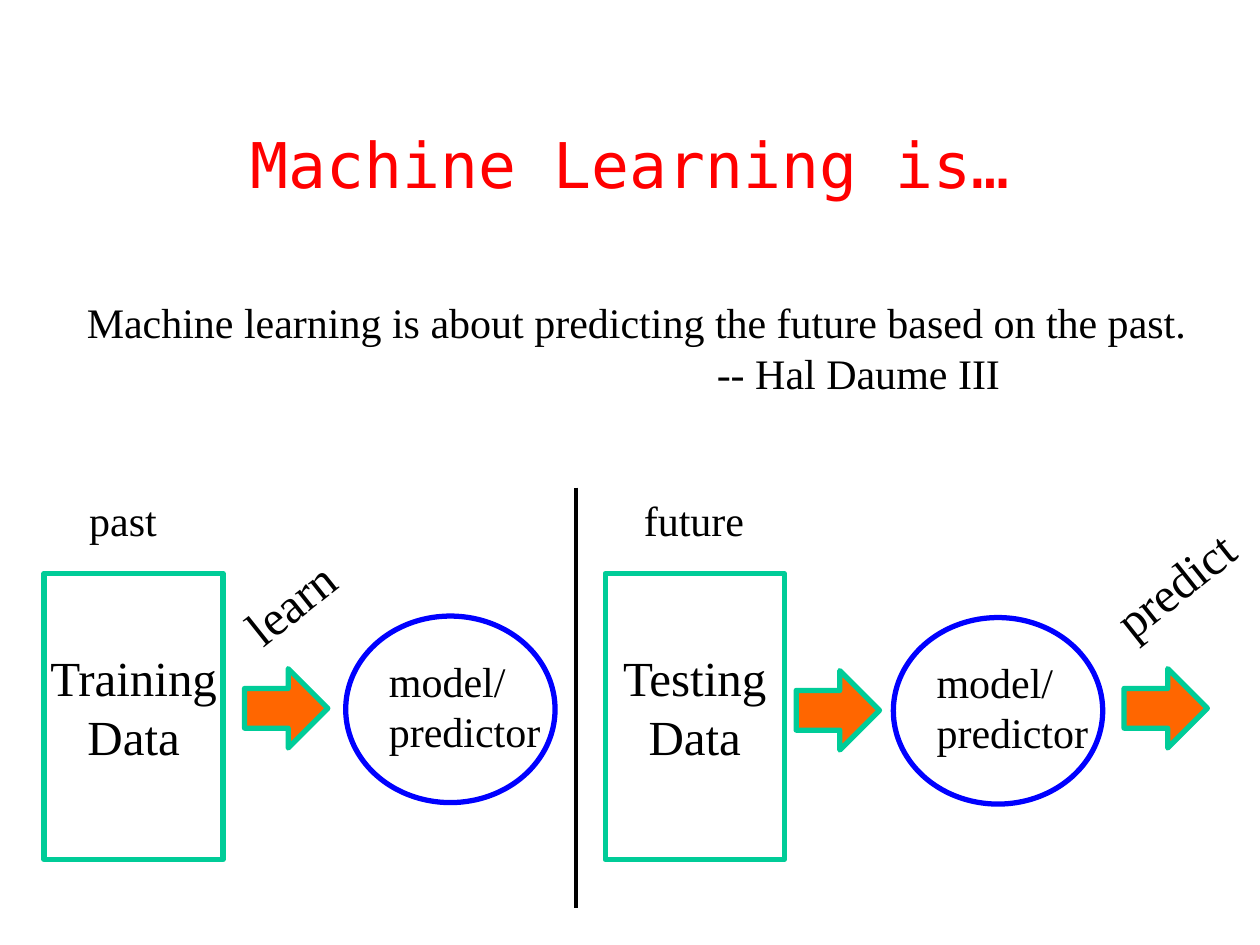
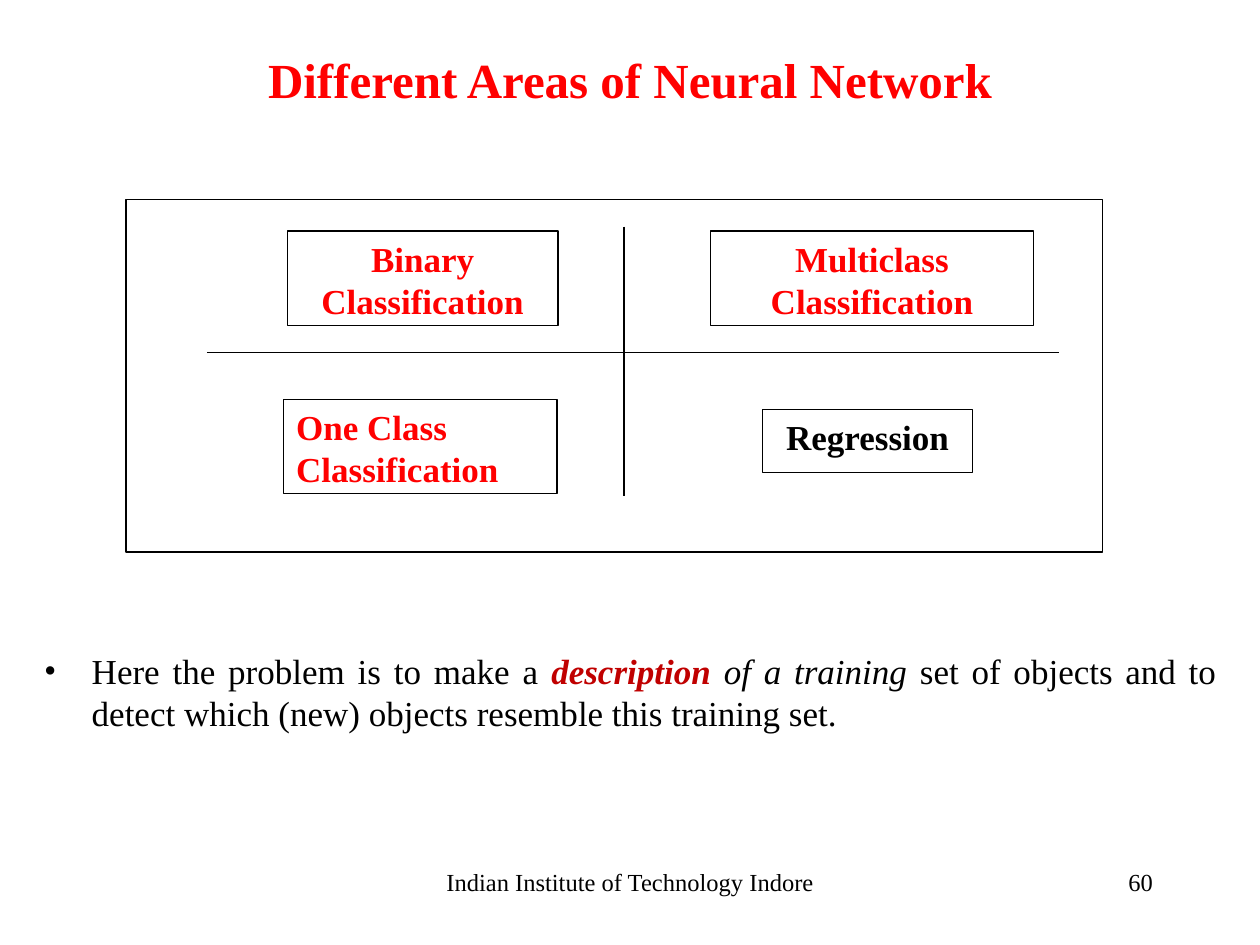
from lxml import etree
from pptx import Presentation
from pptx import util as u
from pptx.dml.color import RGBColor
from pptx.enum import shapes, text
from pptx.oxml.ns import qn

COLORS = {
    "black": "000000",
    "white": "FFFFFF",
    "red": "FF0000",
    "dark_red": "C00000",
    "green": "00CC98",
    "blue": "0000FF",
    "orange": "FF6600",
}
SERIF = "Times New Roman"
MONO = "DejaVu Sans Mono"
LEFT, CENTER = text.PP_ALIGN.LEFT, text.PP_ALIGN.CENTER
RIGHT, JUSTIFY = text.PP_ALIGN.RIGHT, text.PP_ALIGN.JUSTIFY
SHAPE = shapes.MSO_SHAPE


def rgb(name):
    return RGBColor.from_string(COLORS[name])


def cm(*lengths):
    return [u.Cm(length) for length in lengths]


def add_run(para, words, size, color="black", font=SERIF, bold=False, italic=False):
    span = para.add_run()
    span.text = words
    span.font.name = font
    span.font.size = u.Pt(size)
    span.font.bold = bold
    span.font.italic = italic
    span.font.color.rgb = rgb(color)


def add_title(page, words, place, size, font=SERIF, bold=False):
    title = page.shapes.title
    title.left, title.top, title.width, title.height = cm(*place)
    title.text_frame.vertical_anchor = text.MSO_ANCHOR.MIDDLE
    para = title.text_frame.paragraphs[0]
    para.alignment = CENTER
    add_run(para, words, size, "red", font, bold)


def add_text(page, lines, place, size, align=LEFT, wrap=False, rotation=0):
    box = page.shapes.add_textbox(*cm(*place))
    box.rotation = rotation
    frame = box.text_frame
    frame.word_wrap = wrap
    if not wrap:
        frame.auto_size = text.MSO_AUTO_SIZE.SHAPE_TO_FIT_TEXT
    for index, line in enumerate(lines):
        para = frame.add_paragraph() if index else frame.paragraphs[0]
        para.alignment = align
        add_run(para, line, size)
    return box


def indent(para, margin, first=0):
    properties = para._p.get_or_add_pPr()
    properties.set("marL", str(u.Cm(margin)))
    properties.set("indent", str(u.Cm(first)))
    return properties


def add_outline(parent, kind, place, line, width, fill=None):
    shape = parent.shapes.add_shape(kind, *cm(*place))
    shape.shadow.inherit = False
    if fill:
        shape.fill.solid()
        shape.fill.fore_color.rgb = rgb(fill)
    else:
        shape.fill.background()
    shape.line.color.rgb = rgb(line)
    shape.line.width = u.Pt(width)
    return shape


def add_line(parent, ends, width):
    line = parent.shapes.add_connector(shapes.MSO_CONNECTOR.STRAIGHT, *cm(*ends))
    line.line.color.rgb = rgb("black")
    line.line.width = u.Pt(width)
    etree.SubElement(line._element.spPr, qn("a:effectLst"))


def add_data_box(page, left, kind):
    width, label_width = 3.61, 3.89
    add_outline(page, SHAPE.RECTANGLE, (left, 11.56, width, 5.77), "green", 3)
    label_left = left + (width - label_width) / 2
    add_text(page, [kind, "Data"], (label_left, 12.93, label_width, 2.64), 28, CENTER)


def add_model(page, left, top):
    add_outline(page, SHAPE.OVAL, (left, top, 4.22, 3.76), "blue", 3)
    add_text(page, ["model/", "predictor"], (left + 0.62, top + 0.66, 3.56, 2.29), 24)


def add_arrow(page, left, top):
    add_outline(page, SHAPE.RIGHT_ARROW, (left, top, 1.68, 1.6), "green", 3, "orange")


def add_area(group, words, place, color="red", align=CENTER):
    area = add_outline(group, SHAPE.RECTANGLE, place, "black", 0.75, "white")
    area.text_frame.word_wrap = True
    area.text_frame.vertical_anchor = text.MSO_ANCHOR.TOP
    para = area.text_frame.paragraphs[0]
    para.alignment = align
    para.space_after = u.Pt(10)
    add_run(para, words, 20, color, bold=True)


def add_bullet(page, spans, place):
    box = page.shapes.add_textbox(*cm(*place))
    box.text_frame.word_wrap = True
    para = box.text_frame.paragraphs[0]
    para.alignment = JUSTIFY
    properties = indent(para, 0.96, -0.96)
    etree.SubElement(properties, qn("a:buFont")).set("typeface", SERIF)
    etree.SubElement(properties, qn("a:buChar")).set("char", "•")
    for words, style in spans:
        add_run(para, words, 20, **style)


def build_definition(page):
    add_title(page, "Machine Learning is…", (1.9, 1.7, 21.59, 3.18), 36, MONO)
    quote = add_text(
        page,
        ["Machine learning is about predicting the future based on the past.",
         "-- Hal Daume III"],
        (1.5, 5.86, 23.04, 2.29), 24, wrap=True)
    indent(quote.text_frame.paragraphs[1], 12.7)

    add_line(page, (11.61, 9.83, 11.61, 18.31), 2)
    add_text(page, ["past"], (1.55, 9.84, 1.9, 1.27), 24)
    add_text(page, ["future"], (12.73, 9.84, 2.58, 1.27), 24)
    for left, kind in ((0.89, "Training"), (12.2, "Testing")):
        add_data_box(page, left, kind)
    for left, top in ((6.97, 12.42), (18.01, 12.45)):
        add_model(page, left, top)
    for left, top in ((4.93, 13.48), (16.05, 13.52), (22.66, 13.48)):
        add_arrow(page, left, top)
    add_text(page, ["learn"], (4.61, 11.41, 2.52, 1.45), 28, rotation=321.5)
    add_text(page, ["predict"], (22.06, 11.04, 3.28, 1.45), 28, rotation=321.5)


def build_areas(page):
    add_title(page, "Different Areas of Neural Network", (1.27, 0, 22.86, 3.18), 28, bold=True)
    add_bullet(page, [
        ("Here the problem is to make a ", {}),
        ("description", {"color": "dark_red", "bold": True, "italic": True}),
        (" of a training ", {"italic": True}),
        ("set of objects and to detect which (new) objects resemble this training set.", {}),
    ], (0.64, 12.97, 24.13, 2.2))

    quadrants = page.shapes.add_group_shape()
    add_outline(quadrants, SHAPE.RECTANGLE, (2.54, 4.02, 19.69, 7.11), "black", 0.75, "white")
    add_line(quadrants, (12.58, 4.57, 12.58, 10), 0.75)
    add_line(quadrants, (4.17, 7.11, 21.34, 7.11), 0.75)
    add_area(quadrants, "Binary Classification", (5.79, 4.66, 5.46, 1.9))
    add_area(quadrants, "Multiclass Classification", (14.33, 4.66, 6.5, 1.9))
    add_area(quadrants, "Regression", (15.37, 8.26, 4.24, 1.27), "black")
    add_area(quadrants, "One Class Classification", (5.72, 8.05, 5.51, 1.9), align=LEFT)

    add_text(page, ["Indian Institute of Technology Indore"],
             (8.68, 17.35, 8.05, 1.27), 14, CENTER, wrap=True)
    add_text(page, ["60"], (18.21, 17.35, 5.28, 1.27), 14, RIGHT, wrap=True)


def main():
    deck = Presentation()
    deck.slide_width, deck.slide_height = cm(25.4, 19.05)
    title_only = deck.slide_layouts[5]
    for build in (build_definition, build_areas):
        build(deck.slides.add_slide(title_only))
    deck.save("out.pptx")


if __name__ == "__main__":
    main()
